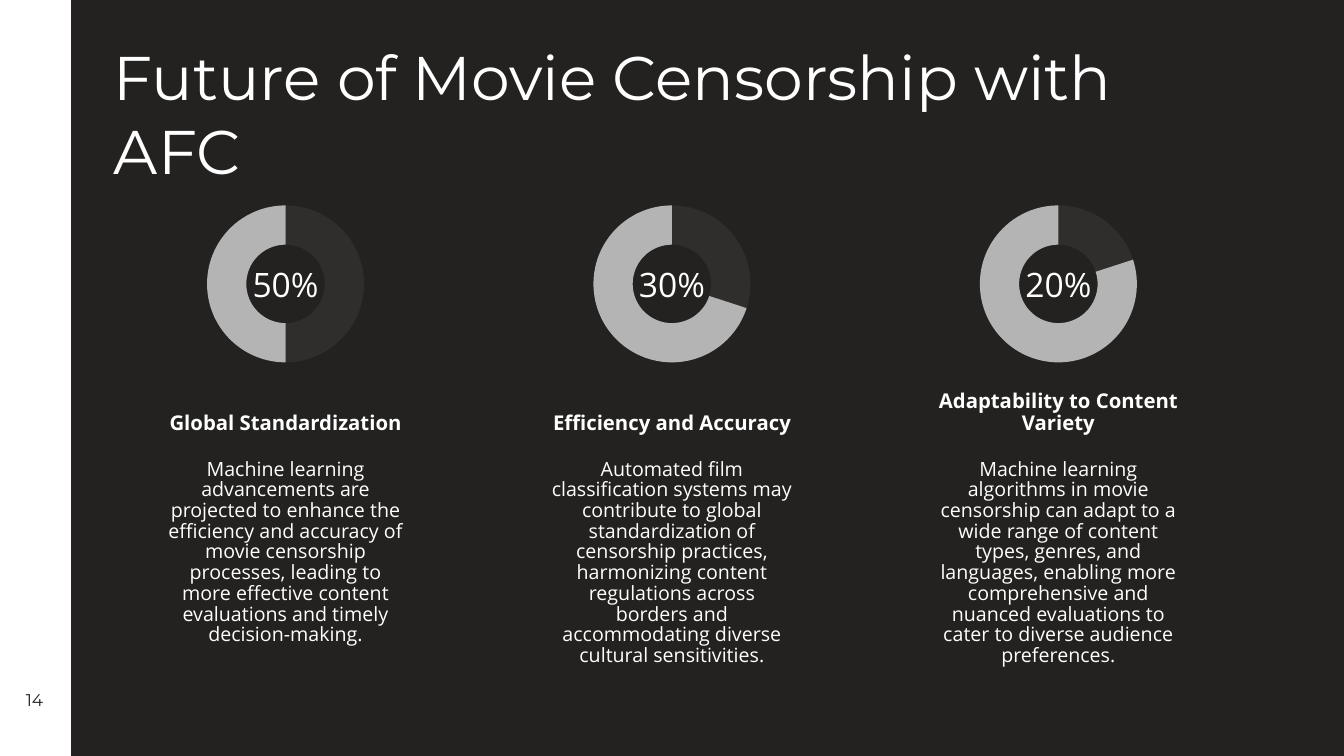
from lxml.etree import SubElement
from pptx import Presentation
from pptx.chart.data import CategoryChartData
from pptx.dml.color import RGBColor
from pptx.enum.chart import XL_CHART_TYPE
from pptx.enum.shapes import MSO_CONNECTOR, MSO_SHAPE
from pptx.enum.text import MSO_ANCHOR, PP_ALIGN
from pptx.oxml.ns import qn
from pptx.util import Inches, Pt

COLS, ROWS = 80, 45
HUES = {"dark": "232220", "white": "FFFFFF", "share": "2F2E2C", "rest": "B5B4B4"}
TOPICS = [
    (50, "Global Standardization",
     "Machine learning advancements are projected to enhance the efficiency and "
     "accuracy of movie censorship processes, leading to more effective content "
     "evaluations and timely decision-making."),
    (30, "Efficiency and Accuracy",
     "Automated film classification systems may contribute to global "
     "standardization of censorship practices, harmonizing content regulations "
     "across borders and accommodating diverse cultural sensitivities."),
    (20, "Adaptability to Content Variety",
     "Machine learning algorithms in movie censorship can adapt to a wide range "
     "of content types, genres, and languages, enabling more comprehensive and "
     "nuanced evaluations to cater to diverse audience preferences."),
]


class Deck:
    """Holds the style and the current slide, laid out on a grid of cells."""

    def __init__(self):
        self.show = Presentation()
        self.show.slide_width = Inches(13.33)
        self.show.slide_height = Inches(7.5)
        self.wide = self.show.slide_width / COLS
        self.high = self.show.slide_height / ROWS
        self.head, self.body = "Montserrat", "Open Sans"
        self.slide = self.show.slides.add_slide(self.show.slide_layouts[5])
        self.paint(self.slide.background.fill, "dark")

    def hue(self, name):
        return RGBColor.from_string(HUES[name])

    def paint(self, fill, name):
        fill.solid()
        fill.fore_color.rgb = self.hue(name)

    def cells(self, col, row, wide, high):
        return (int(col * self.wide), int(row * self.high),
                int(wide * self.wide), int(high * self.high))

    def label(self, frame, words, size, font, color="white", bold=False,
              align=PP_ALIGN.CENTER, anchor=MSO_ANCHOR.TOP, space=1.0):
        frame.word_wrap = True
        frame.vertical_anchor = anchor
        para = frame.paragraphs[0]
        para.alignment = align
        para.line_spacing = space
        run = para.add_run()
        run.text = words
        run.font.size = Pt(size)
        run.font.name = font
        run.font.bold = bold
        run.font.color.rgb = self.hue(color)

    def title(self, words, *place):
        shape = self.slide.shapes.title
        shape.left, shape.top, shape.width, shape.height = self.cells(*place)
        self.label(shape.text_frame, words, 44, self.head, align=PP_ALIGN.LEFT)

    def text(self, words, place, size, font, **style):
        box = self.slide.shapes.add_textbox(*self.cells(*place))
        self.label(box.text_frame, words, size, font, **style)

    def panel(self, *place):
        shape = self.slide.shapes.add_shape(MSO_SHAPE.RECTANGLE, *self.cells(*place))
        shape.shadow.inherit = False
        self.paint(shape.fill, "white")
        shape.line.fill.background()

    def rule(self, col):
        left, top, _, high = self.cells(col, 0, 0, ROWS)
        line = self.slide.shapes.add_connector(
            MSO_CONNECTOR.STRAIGHT, left, top, left, high)
        line.line.color.rgb = self.hue("white")
        line.line.width = Pt(1.5)
        SubElement(line._element.spPr, qn("a:effectLst"))

    def ring(self, share, *place):
        data = CategoryChartData()
        data.categories = ["1", "2"]
        data.add_series("Series 1", (share, 100 - share))
        chart = self.slide.shapes.add_chart(
            XL_CHART_TYPE.DOUGHNUT, *self.cells(*place), data).chart
        chart.has_legend = chart.has_title = False
        chart.font.size = Pt(10)
        chart.font.name = self.body
        chart.font.color.rgb = self.hue("white")
        plot = chart.plots[0]
        plot.vary_by_categories = False
        plot._element.find(qn("c:holeSize")).set("val", "90")
        for spot, name in enumerate(("share", "rest")):
            form = plot.series[0].points[spot].format
            self.paint(form.fill, name)
            form.line.fill.background()

    def topic(self, mid, share, name, words):
        def about(row, wide, high):
            return mid - wide / 2, row, wide, high

        self.ring(share, *about(11.4, 13.4, 11))
        self.text(f"{share}%", about(15.4, 6, 3), 24, self.body,
                  anchor=MSO_ANCHOR.MIDDLE)
        self.text(name, about(23.1, 15.66, 3.06), 14.5, self.body, bold=True,
                  anchor=MSO_ANCHOR.BOTTOM, space=0.88)
        self.text(words, about(27.06, 15.66, 15.66), 14, self.body, space=0.88)


def main():
    deck = Deck()
    deck.panel(0, 0, 4.15, ROWS)
    deck.rule(4.15)
    deck.text("14", (0, 40.5, 4.1, 2.34), 12.1, deck.head, color="dark",
              anchor=MSO_ANCHOR.MIDDLE)
    deck.title("Future of Movie Censorship with AFC", 6.18, 2, 67.56, 5.6)
    for spot, topic in enumerate(TOPICS):
        deck.topic(17 + 23 * spot, *topic)
    deck.show.save("out.pptx")


if __name__ == "__main__":
    main()
